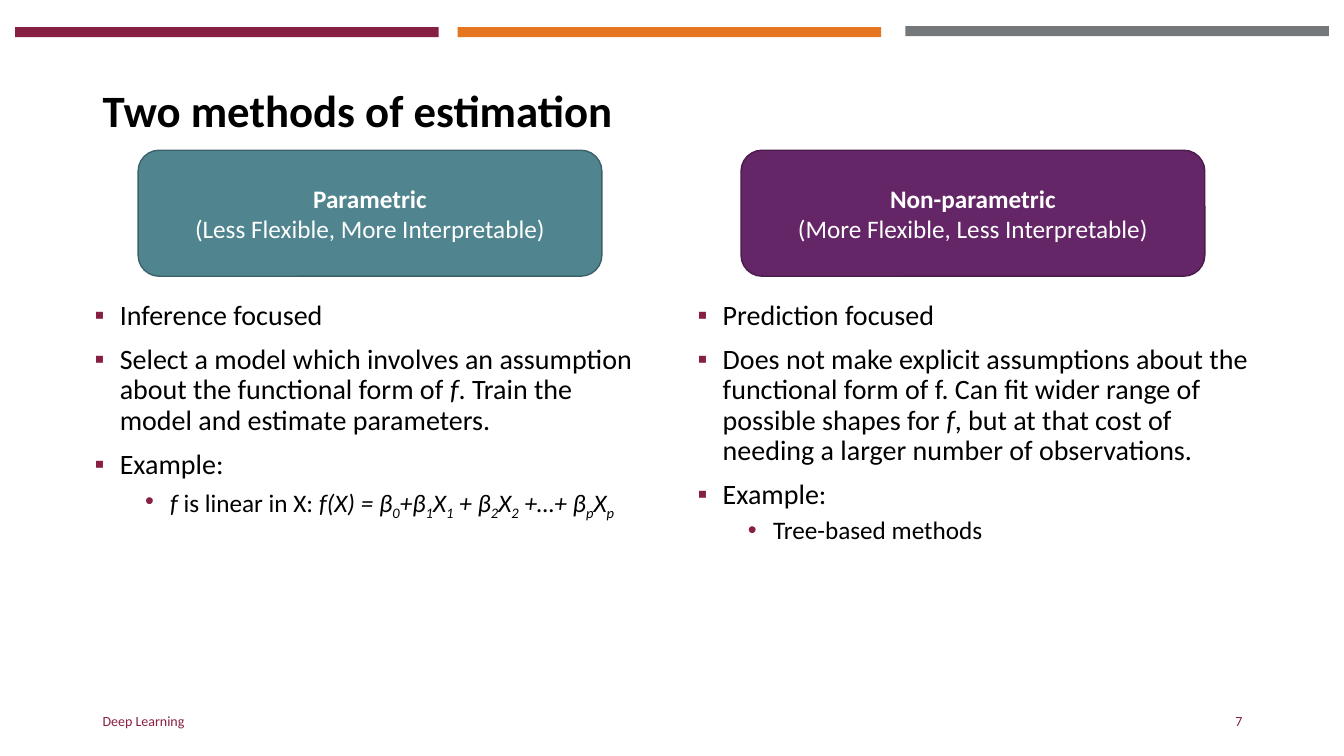
from dataclasses import dataclass

from lxml import etree
from pptx import Presentation
from pptx import util as u
from pptx.dml.color import RGBColor
from pptx.enum import shapes, text
from pptx.oxml.ns import qn

PX = 9144  # EMU per px, 100 px to the inch
FONT = "Calibri"
COLORS = {
    "maroon": "861F41", "orange": "E5751F", "gray": "75787B",
    "teal": "508590", "teal_edge": "3B626B",
    "purple": "642667", "purple_edge": "4A1C4C",
    "black": "000000", "white": "FFFFFF",
}


@dataclass(frozen=True)
class Run:
    text: str
    bold: bool = False
    italic: bool = False
    sub: bool = False


@dataclass(frozen=True)
class Level:
    size: int
    indent: int
    before: int
    bullet: str


@dataclass(frozen=True)
class Bullet:
    level: Level
    runs: list[Run]


@dataclass(frozen=True)
class Method:
    name: str
    trait: str
    fill: str
    edge: str
    bullets: list[Bullet]


@dataclass(frozen=True)
class Bar:
    left: int
    top: int
    color: str


@dataclass(frozen=True)
class Label:
    text: str
    box: tuple[int, int, int, int]
    size: int
    color: str
    bold: bool = False
    align: text.PP_ALIGN = text.PP_ALIGN.LEFT
    spacing: float = 1.0


MAIN = Level(20, 25, 10, "▪")
DETAIL = Level(18, 75, 5, "•")
HANGING = 25

# Formula: plain pieces alternate with subscripts
FORMULA = ["f(X) = β", "0", "+β", "1", "X", "1", " + β", "2", "X", "2",
           " +…+ β", "p", "X", "p"]
formula_runs = [Run(piece, italic=True, sub=i % 2 == 1)
                for i, piece in enumerate(FORMULA)]

METHODS = [
    Method("Parametric", "(Less Flexible, More Interpretable)", "teal", "teal_edge", [
        Bullet(MAIN, [Run("Inference focused")]),
        Bullet(MAIN, [
            Run("Select a model which involves an assumption about the functional form of "),
            Run("f", italic=True),
            Run(". Train the model and estimate parameters.")]),
        Bullet(MAIN, [Run("Example:")]),
        Bullet(DETAIL, [Run("f ", italic=True), Run("is linear in X: "), *formula_runs]),
    ]),
    Method("Non-parametric", "(More Flexible, Less Interpretable)", "purple", "purple_edge", [
        Bullet(MAIN, [Run("Prediction focused")]),
        Bullet(MAIN, [
            Run("Does not make explicit assumptions about the functional form of f. "
                "Can fit wider range of possible shapes for "),
            Run("f", italic=True),
            Run(", but at that cost of needing a larger number of observations.")]),
        Bullet(MAIN, [Run("Example:")]),
        Bullet(DETAIL, [Run("Tree-based methods")]),
    ]),
]
BARS = [Bar(15, 27, "maroon"), Bar(454, 27, "orange"), Bar(898, 26, "gray")]
LABELS = [
    Label("Two methods of estimation", (92, 40, 1150, 145), 32, "black",
          bold=True, spacing=0.9),
    Label("Deep Learning", (92, 695, 450, 40), 10, "maroon"),
    Label("7", (942, 695, 300, 40), 10, "maroon", align=text.PP_ALIGN.RIGHT),
]
COLUMN_LEFT, COLUMN_STEP = 84, 598


def rgb(name: str) -> RGBColor:
    return RGBColor.from_string(COLORS[name])


def px(*lengths: int) -> list[int]:
    return [length * PX for length in lengths]


def add_run(paragraph, run: Run, size: int, color: str) -> None:
    piece = paragraph.add_run()
    piece.text = run.text
    font = piece.font
    font.name, font.size = FONT, u.Pt(size)
    font.bold, font.italic = run.bold, run.italic
    font.color.rgb = rgb(color)
    if run.sub:
        piece._r.get_or_add_rPr().set("baseline", "-25000")


def add_block(slide, kind, box: tuple[int, int, int, int], fill: str):
    block = slide.shapes.add_shape(kind, *px(*box))
    block.shadow.inherit = False
    block.fill.solid()
    block.fill.fore_color.rgb = rgb(fill)
    block.line.fill.background()
    return block


def add_label(slide, label: Label) -> None:
    frame = slide.shapes.add_textbox(*px(*label.box)).text_frame
    frame.word_wrap = True
    frame.vertical_anchor = text.MSO_ANCHOR.MIDDLE
    paragraph = frame.paragraphs[0]
    paragraph.alignment = label.align
    paragraph.line_spacing = label.spacing
    add_run(paragraph, Run(label.text, bold=label.bold), label.size, label.color)


def set_bullet(paragraph, level: Level) -> None:
    props = paragraph._p.get_or_add_pPr()
    props.set("marL", str(level.indent * PX))
    props.set("indent", str(-HANGING * PX))
    bullet_color = etree.SubElement(props, qn("a:buClr"))
    etree.SubElement(bullet_color, qn("a:srgbClr"), val=COLORS["maroon"])
    etree.SubElement(props, qn("a:buFont"), typeface="Arial")
    etree.SubElement(props, qn("a:buChar"), char=level.bullet)


def add_bullets(slide, bullets: list[Bullet], left: int) -> None:
    frame = slide.shapes.add_textbox(*px(left, 294, 567, 360)).text_frame
    frame.word_wrap = True
    for i, bullet in enumerate(bullets):
        paragraph = frame.add_paragraph() if i else frame.paragraphs[0]
        paragraph.level = 1 if bullet.level is DETAIL else 0
        paragraph.line_spacing = 0.9
        if i:
            paragraph.space_before = u.Pt(bullet.level.before)
        set_bullet(paragraph, bullet.level)
        for run in bullet.runs:
            add_run(paragraph, run, bullet.level.size, "black")


def add_heading(slide, method: Method, left: int) -> None:
    heading = add_block(slide, shapes.MSO_SHAPE.ROUNDED_RECTANGLE,
                        (left, 149, 460, 125), method.fill)
    heading.line.color.rgb = rgb(method.edge)
    heading.line.width = u.Pt(1)
    frame = heading.text_frame
    frame.word_wrap = True
    frame.vertical_anchor = text.MSO_ANCHOR.MIDDLE
    lines = [Run(method.name, bold=True), Run(method.trait)]
    for i, line in enumerate(lines):
        paragraph = frame.add_paragraph() if i else frame.paragraphs[0]
        paragraph.alignment = text.PP_ALIGN.CENTER
        add_run(paragraph, line, 18, "white")


def main() -> None:
    deck = Presentation()
    deck.slide_width, deck.slide_height = px(1333, 750)
    slide = deck.slides.add_slide(deck.slide_layouts[6])

    # Top bars
    for bar in BARS:
        add_block(slide, shapes.MSO_SHAPE.RECTANGLE, (bar.left, bar.top, 420, 10), bar.color)

    # Title and footer
    for label in LABELS:
        add_label(slide, label)

    # One column per method
    for i, method in enumerate(METHODS):
        left = COLUMN_LEFT + i * COLUMN_STEP
        add_bullets(slide, method.bullets, left)
        add_heading(slide, method, left + 53)

    deck.save("out.pptx")


if __name__ == "__main__":
    main()
